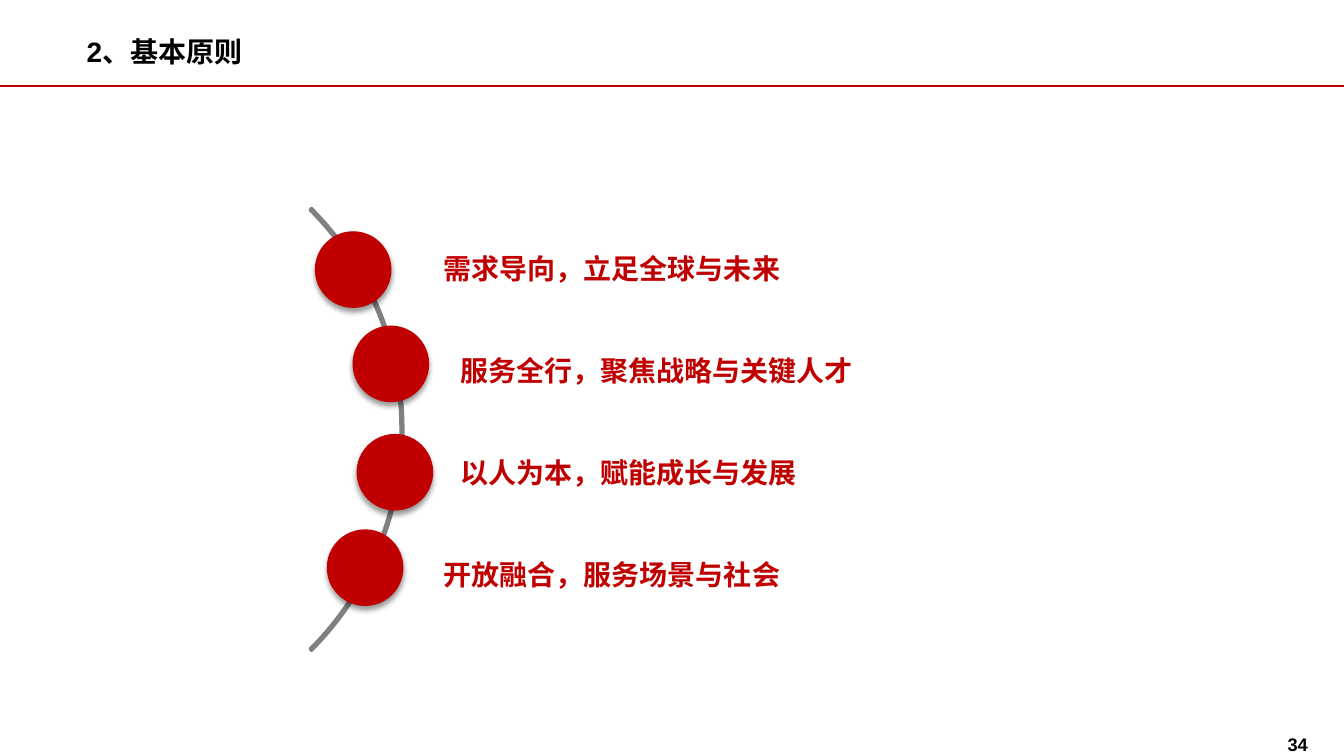
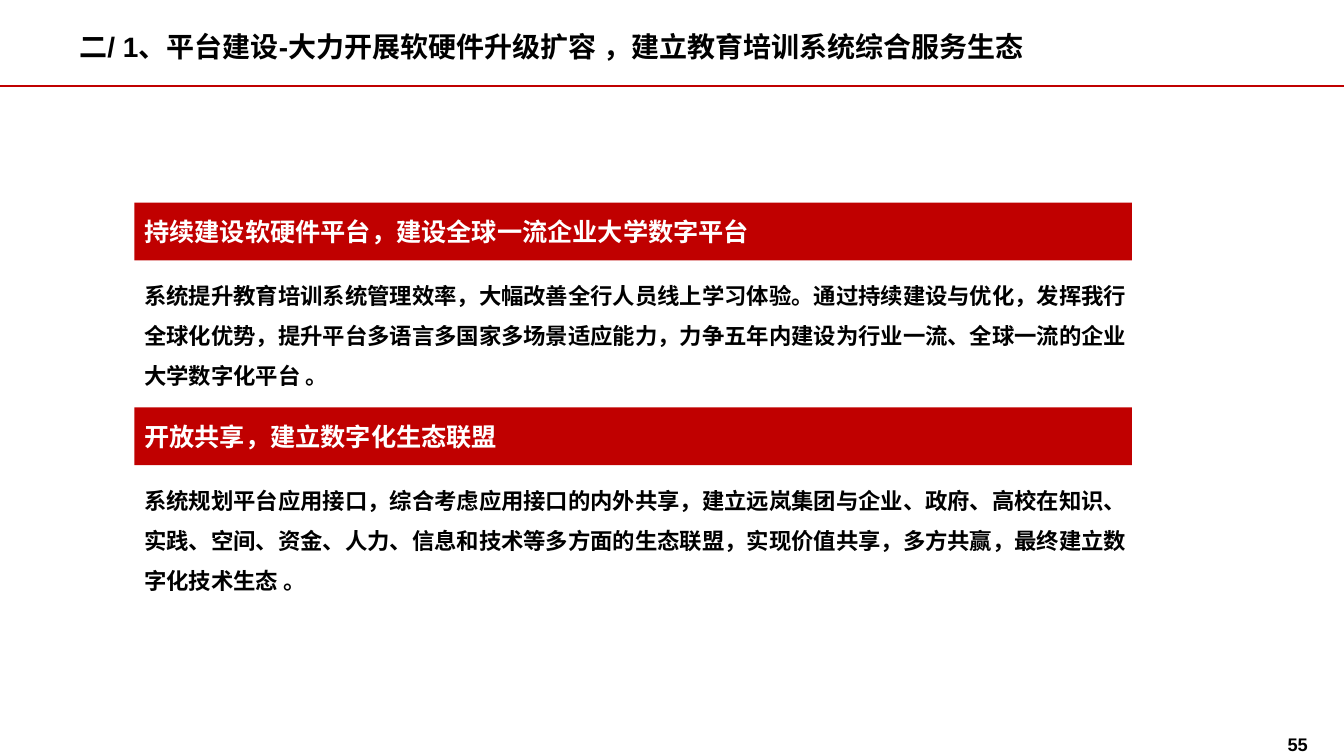
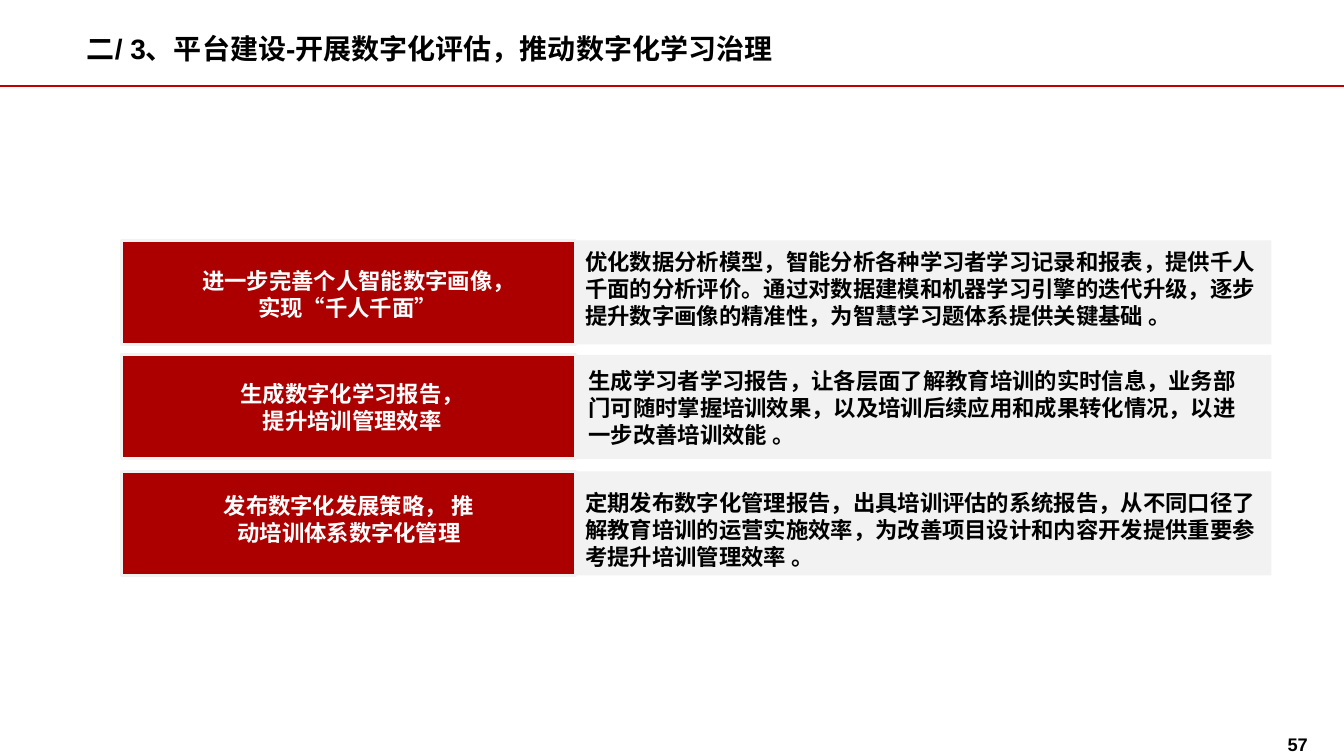
"""Builds three slides on the principles and platform of a training system."""
from math import cos, radians, sin

from lxml.etree import SubElement
from pptx import Presentation
from pptx.dml.color import RGBColor
from pptx.enum.lang import MSO_LANGUAGE_ID as Language
from pptx.enum.shapes import MSO_CONNECTOR as Connector, MSO_SHAPE as Shape
from pptx.enum.text import MSO_ANCHOR as Anchor, MSO_AUTO_SIZE as AutoSize, PP_ALIGN as Align
from pptx.oxml.ns import qn
from pptx.util import Pt

PX = 9525
WIDTH, HEIGHT = 1280, 720
FONT = "Arial"
COLORS = {
    "red": "C00000",
    "label": "AC0000",
    "panel": "F2F2F2",
    "arc": "808080",
    "text": "000000",
    "light": "FFFFFF",
}

PAGES = [
    {"title": "2、基本原则", "at": (73, 28, 639, 42), "number": "34"},
    {"title": "二/ 1、平台建设-大力开展软硬件升级扩容 ，建立教育培训系统综合服务生态",
     "at": (66, 23, 1120, 42), "number": "55"},
    {"title": "二/ 3、平台建设-开展数字化评估，推动数字化学习治理",
     "at": (73, 25, 1041, 42), "number": "57"},
]

PRINCIPLES = [
    ("需求导向，立足全球与未来", -31.3, 413, 368),
    ("服务全行，聚焦战略与关键人才", -12.3, 429, 406),
    ("以人为本，赋能成长与发展", 8, 429, 368),
    ("开放融合，服务场景与社会", 26.7, 413, 368),
]

SECTIONS = [
    ("持续建设软硬件平台，建设全球一流企业大学数字平台",
     "系统提升教育培训系统管理效率，大幅改善全行人员线上学习体验。通过持续建设与优化，"
     "发挥我行全球化优势，提升平台多语言多国家多场景适应能力，力争五年内建设为行业一流、"
     "全球一流的企业大学数字化平台 。"),
    ("开放共享，建立数字化生态联盟",
     "系统规划平台应用接口，综合考虑应用接口的内外共享，建立远岚集团与企业、政府、高校在知识、"
     "实践、空间、资金、人力、信息和技术等多方面的生态联盟，实现价值共享，多方共赢，"
     "最终建立数字化技术生态 。"),
]

MEASURES = [
    {"top": 229, "panel_left": 443,
     "label": "进一步完善个人智能数字画像，实现“千人千面”", "label_at": (180, 250, 302, 61),
     "detail": "优化数据分析模型，智能分析各种学习者学习记录和报表，提供千人千面的分析评价。"
               "通过对数据建模和机器学习引擎的迭代升级，逐步提升数字画像的精准性，"
               "为智慧学习题体系提供关键基础 。",
     "detail_at": (548, 232, 662, 87)},
    {"top": 338, "panel_left": 483,
     "label": "生成数字化学习报告，提升培训管理效率", "label_at": (213, 357, 245, 61),
     "detail": "生成学习者学习报告，让各层面了解教育培训的实时信息，业务部门可随时掌握培训效果，"
               "以及培训后续应用和成果转化情况，以进一步改善培训效能 。",
     "detail_at": (551, 345, 657, 87)},
    {"top": 449, "panel_left": 471,
     "label": "发布数字化发展策略， 推动培训体系数字化管理", "label_at": (200, 464, 265, 61),
     "detail": "定期发布数字化管理报告，出具培训评估的系统报告，从不同口径了解教育培训的运营实施效率，"
               "为改善项目设计和内容开发提供重要参考提升培训管理效率 。",
     "detail_at": (548, 461, 660, 87)},
]


def emu(*lengths):
    return [round(length * PX) for length in lengths]


def rgb(name):
    return RGBColor.from_string(COLORS[name])


def write(shape, words, size, color="text", align=Align.LEFT, anchor=Anchor.TOP, spacing=None):
    frame = shape.text_frame
    frame.word_wrap = True
    frame.auto_size = AutoSize.NONE
    frame.vertical_anchor = anchor
    paragraph = frame.paragraphs[0]
    paragraph.alignment = align
    paragraph.line_spacing = spacing
    run = paragraph.add_run()
    run.text = words
    font = run.font
    font.name, font.size, font.bold = FONT, Pt(size), True
    font.color.rgb = rgb(color)
    font.language_id = Language.SIMPLIFIED_CHINESE


def add_text(slide, at, words, size, **style):
    write(slide.shapes.add_textbox(*emu(*at)), words, size, **style)


def add_block(slide, preset, at, fill=None, line=None, weight=0):
    block = slide.shapes.add_shape(preset, *emu(*at))
    block.shadow.inherit = False
    if fill:
        block.fill.solid()
        block.fill.fore_color.rgb = rgb(fill)
    else:
        block.fill.background()
    if line:
        block.line.color.rgb = rgb(line)
        block.line.width = Pt(weight)
    else:
        block.line.fill.background()
    return block


def drop_shadow(block):
    effects = block.element.spPr.find(qn("a:effectLst"))
    shadow = SubElement(effects, qn("a:outerShdw"), blurRad=str(Pt(4)), dist=str(Pt(3)),
                        dir="5400000", rotWithShape="0")
    black = SubElement(shadow, qn("a:srgbClr"), val=COLORS["text"])
    SubElement(black, qn("a:alpha"), val="40000")


def add_master_rule(deck, slide):
    rule = slide.shapes.add_connector(Connector.STRAIGHT, *emu(0, 82, WIDTH, 82))
    rule.line.color.rgb = rgb("red")
    rule.line.width = Pt(1.5)
    SubElement(rule.element.spPr, qn("a:effectLst"))
    rule.element.nvCxnSpPr.cNvPr.set("id", "20")
    deck.slide_master.shapes.element.append(rule.element)


def add_page(deck, page):
    slide = deck.slides.add_slide(deck.slide_layouts[5])
    title = slide.shapes.title
    title.left, title.top, title.width, title.height = emu(*page["at"])
    write(title, page["title"], 20)
    add_text(slide, (988, 694, 267, 18), page["number"], 13, align=Align.RIGHT)
    return slide


def draw_principles(slide):
    center_x, center_y, arc_radius, orbit, dot = 86, 409, 298, 293, 69
    arc = add_block(slide, Shape.BLOCK_ARC,
                    (center_x - arc_radius, center_y - arc_radius, 2 * arc_radius, 2 * arc_radius),
                    line="arc", weight=2)
    for index, adjustment in enumerate((189, 27, 0.004)):
        arc.adjustments[index] = adjustment
    for row, (principle, angle, left, width) in enumerate(PRINCIPLES):
        x = center_x + orbit * cos(radians(angle)) - dot / 2
        y = center_y + orbit * sin(radians(angle)) - dot / 2
        drop_shadow(add_block(slide, Shape.OVAL, (x, y, dot, dot), "red", "red", 3))
        add_text(slide, (left, 235 + 97 * row, width, 42), principle, 20, color="red")


def draw_sections(slide):
    left, first_top, pitch = 128, 193, 195
    for row, (heading, body) in enumerate(SECTIONS):
        top = first_top + pitch * row
        band = add_block(slide, Shape.RECTANGLE, (left, top, 950, 55), "red")
        write(band, heading, 18, color="light", anchor=Anchor.MIDDLE)
        add_text(slide, (left, top + 58, 969, 121), body, 16, spacing=1.5)


def draw_measures(slide):
    right, height = 1211, 99
    for measure in MEASURES:
        top, left = measure["top"], measure["panel_left"]
        add_block(slide, Shape.RECTANGLE, (left, top, right - left, height), "panel")
        add_block(slide, Shape.RECTANGLE, (116, top, 432, height), "label", "panel", 2.25)
        add_text(slide, measure["label_at"], measure["label"], 16,
                 color="light", align=Align.CENTER)
        add_text(slide, measure["detail_at"], measure["detail"], 16)


def main():
    deck = Presentation()
    deck.slide_width, deck.slide_height = emu(WIDTH, HEIGHT)
    slides = [add_page(deck, page) for page in PAGES]
    add_master_rule(deck, slides[0])
    for draw, slide in zip((draw_principles, draw_sections, draw_measures), slides):
        draw(slide)
    deck.save("out.pptx")


if __name__ == "__main__":
    main()
